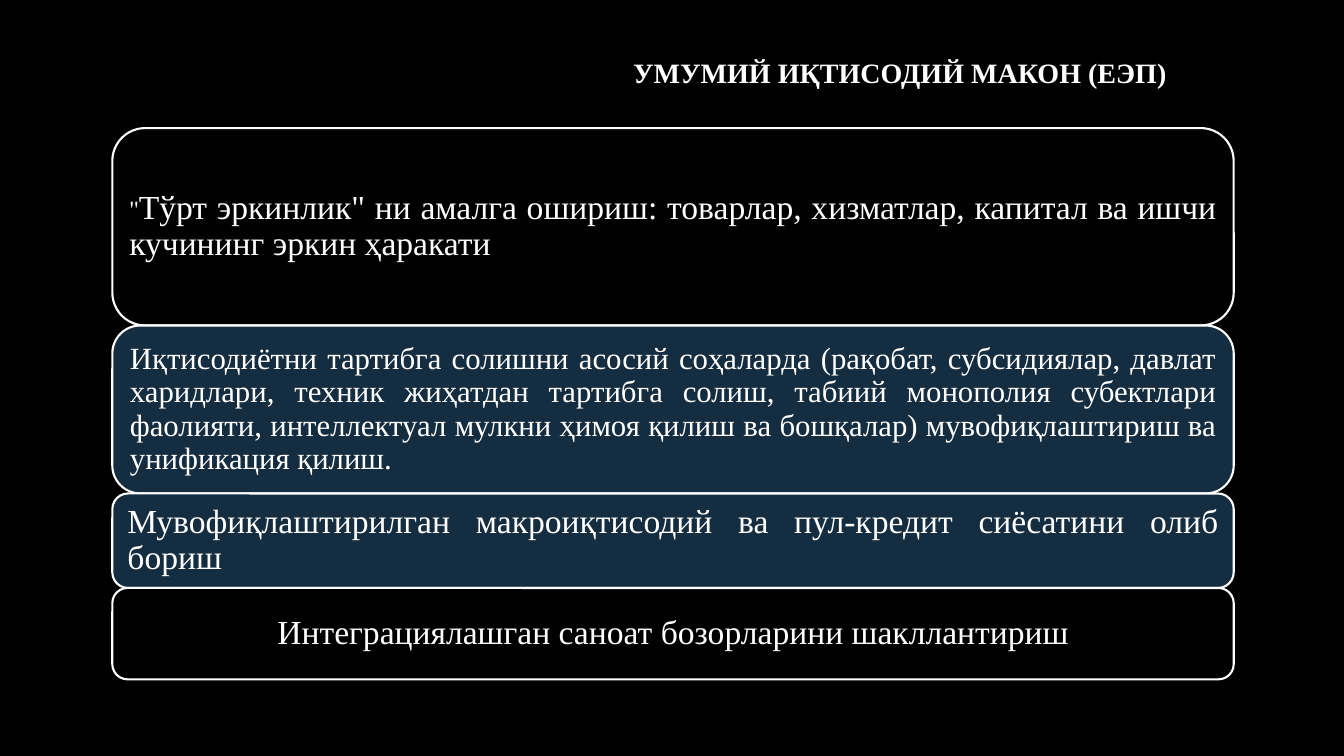
from dataclasses import dataclass

from pptx import Presentation
from pptx.dml.color import RGBColor
from pptx.enum.shapes import MSO_SHAPE
from pptx.enum.text import MSO_ANCHOR, MSO_AUTO_SIZE, PP_ALIGN
from pptx.slide import Slide
from pptx.text.text import TextFrame
from pptx.util import Emu, Pt

EMU_PER_PX = 9525
COLORS = {"black": "000000", "navy": "152D40", "white": "FFFFFF"}
SERIF, QUOTE_FONT = "Times New Roman", "TeX Gyre Bonum"
BAR_LEFT, BAR_TOP, BAR_WIDTH = 107, 122, 1068


@dataclass(frozen=True)
class Phrase:
    text: str
    size: int
    font: str = SERIF
    bold: bool = False


@dataclass(frozen=True)
class Bar:
    height: int
    fill: str
    inset: int
    align: PP_ALIGN
    phrases: tuple[Phrase, ...]


TITLE = Phrase("УМУМИЙ ИҚТИСОДИЙ МАКОН (ЕЭП)", 20, bold=True)
BARS = (
    Bar(188, "black", 7, PP_ALIGN.JUSTIFY, (
        Phrase('"', 18, QUOTE_FONT),
        Phrase('Тўрт эркинлик" ни амалга ошириш: товарлар, хизматлар, '
               "капитал ва ишчи кучининг эркин ҳаракати", 24),
    )),
    Bar(160, "navy", 9, PP_ALIGN.JUSTIFY, (
        Phrase("Иқтисодиётни тартибга солишни асосий соҳаларда (рақобат, "
               "субсидиялар, давлат харидлари, техник жиҳатдан тартибга солиш, "
               "табиий монополия субектлари фаолияти, интеллектуал мулкни ҳимоя "
               "қилиш ва бошқалар) мувофиқлаштириш ва унификация қилиш.", 22),
    )),
    Bar(90, "navy", 10, PP_ALIGN.JUSTIFY, (
        Phrase("Мувофиқлаштирилган макроиқтисодий ва пул-кредит сиёсатини "
               "олиб бориш", 24),
    )),
    Bar(87, "black", 10, PP_ALIGN.CENTER, (
        Phrase("Интеграциялашган саноат бозорларини шакллантириш", 24),
    )),
)


def px(n: int) -> Emu:
    return Emu(n * EMU_PER_PX)


def color(name: str) -> RGBColor:
    return RGBColor.from_string(COLORS[name])


def set_attrs(obj: object, values: dict[str, object]) -> None:
    for name, value in values.items():
        setattr(obj, name, value)


def write_text(tf: TextFrame, phrases: tuple[Phrase, ...], align: PP_ALIGN,
               inset: int) -> None:
    margins = {f"margin_{side}": px(inset)
               for side in ("left", "top", "right", "bottom")}
    set_attrs(tf, {"word_wrap": True, "auto_size": MSO_AUTO_SIZE.NONE,
                   "vertical_anchor": MSO_ANCHOR.MIDDLE, **margins})
    p = tf.paragraphs[0]
    set_attrs(p, {"alignment": align, "line_spacing": 0.9})
    for phrase in phrases:
        r = p.add_run()
        r.text = phrase.text
        set_attrs(r.font, {"name": phrase.font, "size": Pt(phrase.size),
                           "bold": phrase.bold})
        r.font.color.rgb = color("white")


def add_title(s: Slide) -> None:
    sp = s.shapes.title
    set_attrs(sp, {"left": px(165), "top": px(29),
                   "width": px(956), "height": px(83)})
    write_text(sp.text_frame, (TITLE,), PP_ALIGN.RIGHT, 10)


def add_bar(s: Slide, bar: Bar, top: int) -> None:
    sp = s.shapes.add_shape(MSO_SHAPE.ROUNDED_RECTANGLE, px(BAR_LEFT), px(top),
                            px(BAR_WIDTH), px(bar.height))
    sp.shadow.inherit = False
    sp.fill.solid()
    sp.fill.fore_color.rgb = color(bar.fill)
    sp.line.color.rgb = color("white")
    sp.line.width = Pt(1.5)
    write_text(sp.text_frame, bar.phrases, bar.align, bar.inset)


def main() -> None:
    prs = Presentation()
    set_attrs(prs, {"slide_width": px(1280), "slide_height": px(720)})
    s = prs.slides.add_slide(prs.slide_layouts[5])

    # Background and title
    s.background.fill.solid()
    s.background.fill.fore_color.rgb = color("black")
    add_title(s)

    # Bars stacked edge to edge
    top = BAR_TOP
    for bar in BARS:
        add_bar(s, bar, top)
        top += bar.height

    prs.save("out.pptx")


if __name__ == "__main__":
    main()
